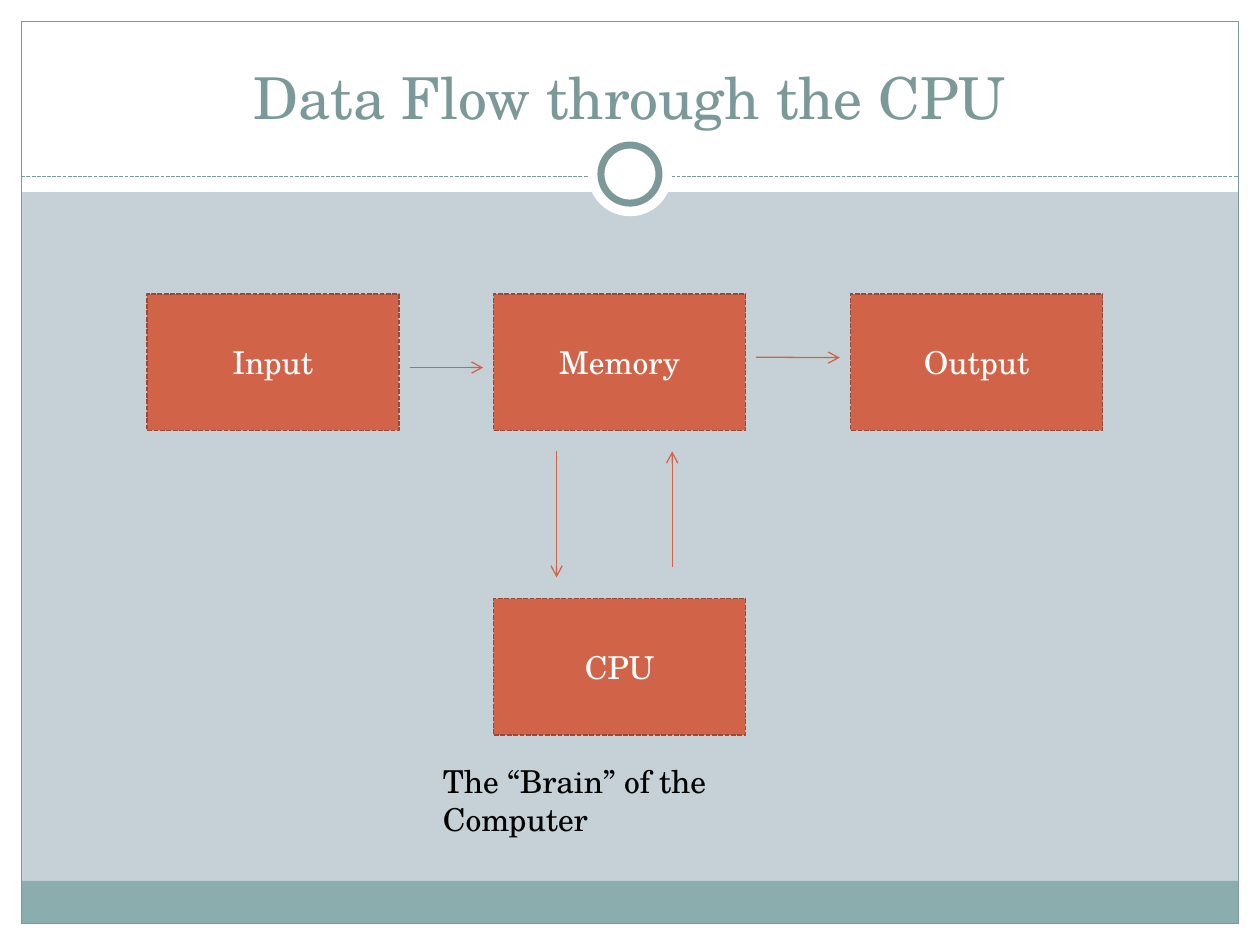
from lxml import etree
from pptx import Presentation
from pptx.dml.color import RGBColor
from pptx.enum.dml import MSO_LINE
from pptx.enum.shapes import MSO_CONNECTOR, MSO_SHAPE
from pptx.enum.text import MSO_ANCHOR, PP_ALIGN
from pptx.oxml.ns import qn
from pptx.util import Cm, Pt

RECT, OVAL = MSO_SHAPE.RECTANGLE, MSO_SHAPE.OVAL
STRAIGHT = MSO_CONNECTOR.STRAIGHT
DASH = MSO_LINE.SQUARE_DOT
LEFT, CENTER = PP_ALIGN.LEFT, PP_ALIGN.CENTER
TOP, MIDDLE, BOTTOM = MSO_ANCHOR.TOP, MSO_ANCHOR.MIDDLE, MSO_ANCHOR.BOTTOM

# Content, lengths in cm
TITLE = "Data Flow through the CPU"
CAPTION = "The “Brain” of the Computer"
COLUMNS = (2.96, 9.95, 17.15)
ROWS = (5.93, 12.07)
STAGES = [("Input", 0, 0), ("Memory", 1, 0), ("Output", 2, 0), ("CPU", 1, 1)]
FLOWS = [  # start, end
    ((8.26, 7.41), (9.74, 7.41)),    # input to memory
    ((15.24, 7.2), (16.93, 7.21)),   # memory to output
    ((11.22, 9.1), (11.22, 11.64)),  # memory to CPU
    ((13.55, 11.43), (13.55, 9.1)),  # CPU to memory
]

THEME = {
    "font": "TeX Gyre Schola", "title_size": 33, "body_size": 18,
    "background": "C5D1D7", "paper": "FFFFFF", "footer": "8CADAE",
    "accent": "7C999A", "stage": "D16349", "stage_edge": "9B4936",
    "text": "000000",
}
WIDTH, HEIGHT = 25.4, 19.05
MARGIN, HEADER, FOOTER = 0.43, 3.87, 0.86
RULE_Y, RING_Y = 3.56, 3.51
STAGE_W, STAGE_H = 5.08, 2.75


def color(name):
    return RGBColor.from_string(THEME[name])


def style_line(line, name, width, dash=None):
    line.color.rgb = color(name)
    line.width = Pt(width)
    if dash is not None:
        line.dash_style = dash


def add_block(slide, kind, box, fill=None, edge=None, width=0.75, dash=None):
    block = slide.shapes.add_shape(kind, *map(Cm, box))
    block.shadow.inherit = False
    if fill:
        block.fill.solid()
        block.fill.fore_color.rgb = color(fill)
    else:
        block.fill.background()
    if edge:
        style_line(block.line, edge, width, dash)
    else:
        block.line.fill.background()
    return block


def add_path(slide, start, end, name, dash=None, arrow=False):
    path = slide.shapes.add_connector(STRAIGHT, *map(Cm, (*start, *end)))
    style_line(path.line, name, 0.75, dash)
    if arrow:
        head = etree.SubElement(path.line._get_or_add_ln(), qn("a:tailEnd"))
        head.set("type", "arrow")
    etree.SubElement(path._element.spPr, qn("a:effectLst"))


def write(holder, text, size="body_size", name="text", align=LEFT, anchor=TOP):
    frame = holder.text_frame
    frame.word_wrap = True
    frame.vertical_anchor = anchor
    paragraph = frame.paragraphs[0]
    paragraph.alignment = align
    run = paragraph.add_run()
    run.text = text
    run.font.name = THEME["font"]
    run.font.size = Pt(THEME[size])
    run.font.color.rgb = color(name)


def add_ring_disc(slide, diameter, **style):
    add_block(slide, OVAL, ((WIDTH - diameter) / 2, RING_Y - diameter / 2,
                            diameter, diameter), **style)


def add_frame(slide):
    inner_w, inner_h = WIDTH - 2 * MARGIN, HEIGHT - 2 * MARGIN
    # White header and page margins
    for box in [(0, HEIGHT - MARGIN, WIDTH, MARGIN), (0, 0, WIDTH, HEADER),
                (0, 0, MARGIN, HEIGHT), (WIDTH - MARGIN, 0, MARGIN, HEIGHT)]:
        add_block(slide, RECT, box, fill="paper")
    # Footer band, border and header rule
    add_block(slide, RECT, (MARGIN, HEIGHT - MARGIN - FOOTER, inner_w, FOOTER),
              fill="footer")
    add_block(slide, RECT, (MARGIN, MARGIN, inner_w, inner_h), edge="accent")
    add_path(slide, (MARGIN, RULE_Y), (WIDTH - MARGIN, RULE_Y), "accent", DASH)
    # Ring on the rule
    add_ring_disc(slide, 1.7, fill="paper")
    add_ring_disc(slide, 1.17, fill="paper", edge="accent", width=4)


def main():
    deck = Presentation()
    deck.slide_width, deck.slide_height = Cm(WIDTH), Cm(HEIGHT)
    slide = deck.slides.add_slide(deck.slide_layouts[6])
    slide.background.fill.solid()
    slide.background.fill.fore_color.rgb = color("background")
    add_frame(slide)

    # Title
    heading = slide.shapes.add_textbox(Cm(0.85), Cm(0.64), Cm(23.7), Cm(2.12))
    write(heading, TITLE, size="title_size", name="accent",
          align=CENTER, anchor=BOTTOM)

    # Stages
    for label, column, row in STAGES:
        stage = add_block(slide, RECT,
                          (COLUMNS[column], ROWS[row], STAGE_W, STAGE_H),
                          fill="stage", edge="stage_edge", width=0.9, dash=DASH)
        write(stage, label, name="paper", align=CENTER, anchor=MIDDLE)

    # Data flows
    for start, end in FLOWS:
        add_path(slide, start, end, "stage", arrow=True)

    # Caption under the CPU
    caption = slide.shapes.add_textbox(Cm(8.68), Cm(15.24), Cm(7.98), Cm(1.02))
    write(caption, CAPTION)

    deck.save("out.pptx")


if __name__ == "__main__":
    main()
